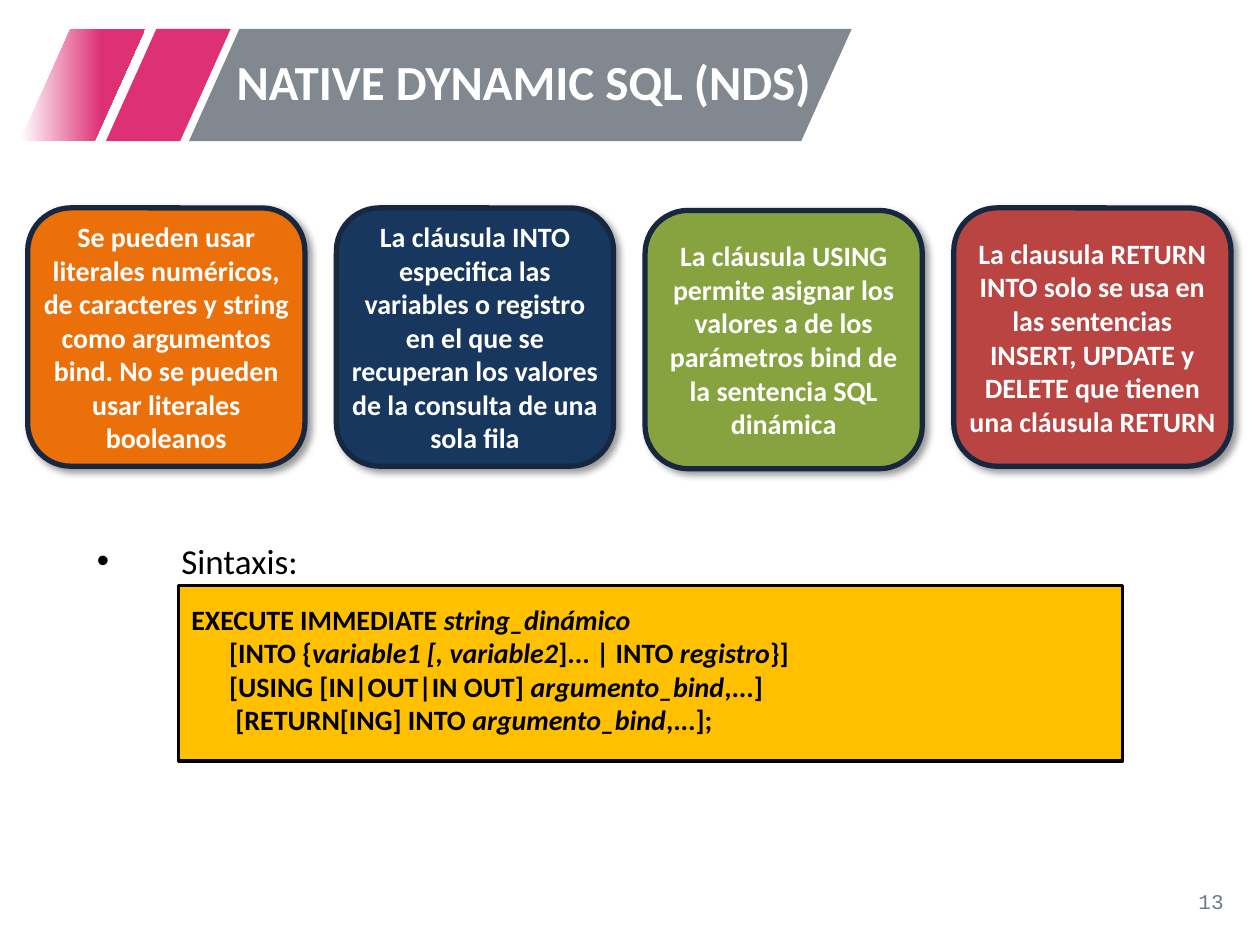
from lxml import etree
from pptx import Presentation
from pptx.dml.color import RGBColor
from pptx.enum.shapes import MSO_SHAPE
from pptx.enum.text import MSO_ANCHOR, PP_ALIGN
from pptx.oxml.ns import qn
from pptx.util import Inches, Pt

PARALLELOGRAM = MSO_SHAPE.PARALLELOGRAM
RECTANGLE = MSO_SHAPE.RECTANGLE
ROUNDED = MSO_SHAPE.ROUNDED_RECTANGLE
MIDDLE, TOP = MSO_ANCHOR.MIDDLE, MSO_ANCHOR.TOP
LEFT, CENTER, RIGHT, JUSTIFY = PP_ALIGN.LEFT, PP_ALIGN.CENTER, PP_ALIGN.RIGHT, PP_ALIGN.JUSTIFY
WHITE, BLACK, PINK = "FFFFFF", "000000", "DE3075"
color = RGBColor.from_string

presentation = Presentation()
presentation.slide_width = Inches(10)
presentation.slide_height = Inches(7.5)
slide = presentation.slides.add_slide(presentation.slide_layouts[6])
COLUMN = presentation.slide_width / 100
ROW = presentation.slide_height / 75


def add_box(left, top, width, height, preset=None, fill=WHITE, anchor=MIDDLE):
    """Add a filled preset shape, or a text box without a preset, placed in grid cells."""
    place = [int(left * COLUMN), int(top * ROW), int(width * COLUMN), int(height * ROW)]
    if preset is None:
        shape = slide.shapes.add_textbox(*place)
    else:
        shape = slide.shapes.add_shape(preset, *place)
        shape.shadow.inherit = False
        shape.fill.solid()
        shape.fill.fore_color.rgb = color(fill)
        shape.line.fill.background()
    shape.text_frame.word_wrap = True
    shape.text_frame.vertical_anchor = anchor
    return shape


def add_run(paragraph, text, size, text_color, bold=False, italic=False, font="Calibri"):
    run = paragraph.add_run()
    run.text = text
    run.font.name = font
    run.font.size = Pt(size)
    run.font.bold = bold
    run.font.italic = italic
    run.font.color.rgb = color(text_color)


# Title banner
banner = []
for left, width, fill in [(8.4, 9.9, PINK), (1.6, 9.9, PINK), (15, 52.6, "81888F")]:
    stripe = add_box(left, 2.3, width, 8.9, PARALLELOGRAM, fill)
    stripe.adjustments[0] = 0.45
    banner.append(stripe)
fade = banner[1].fill
fade.gradient()
fade.gradient_angle = 0
for stop, (position, stop_color) in zip(fade.gradient_stops, [(0, WHITE), (0.65, PINK)]):
    stop.position = position
    stop.color.rgb = color(stop_color)

title = add_box(17.8, 2.3, 51.1, 8.9).text_frame.paragraphs[0]
title.line_spacing = 0.9
add_run(title, "NATIVE DYNAMIC SQL (NDS)", 28, WHITE, bold=True)

# Slide number
number = add_box(75.6, 69.5, 22.5, 4).text_frame.paragraphs[0]
number.alignment = RIGHT
add_run(number, "13", 12, "6C7A8A", font="Courier New")

# Rule cards
cards = [
    ("EC700A", 16.5, "Se pueden usar literales numéricos, de caracteres y string como "
     "argumentos bind. No se pueden usar literales booleanos"),
    ("17375E", 16.5, "La cláusula INTO especifica las variables o registro en el que se "
     "recuperan los valores de la consulta de una sola fila"),
    ("86A33F", 16.7, "La cláusula USING permite asignar los valores a de los parámetros "
     "bind de la sentencia SQL dinámica"),
    ("B94441", 16.5, "La clausula RETURN INTO solo se usa en las sentencias INSERT, "
     "UPDATE y DELETE que tienen una cláusula RETURN"),
]
for index, (fill, top, text) in enumerate(cards):
    card = add_box(2.2 + 24.5 * index, top, 22, 20.5, ROUNDED, fill)
    card.line.color.rgb = color("172740")
    card.line.width = Pt(3)
    effects = card._element.spPr.find(qn("a:effectLst"))
    shadow = etree.SubElement(effects, qn("a:outerShdw"), blurRad=str(Pt(4)),
                              dist=str(Pt(3)), dir=str(45 * 60000), rotWithShape="0")
    shadow_color = etree.SubElement(shadow, qn("a:srgbClr"), val=BLACK)
    etree.SubElement(shadow_color, qn("a:alpha"), val="40000")
    frame = card.text_frame
    frame.margin_left = frame.margin_right = frame.margin_top = frame.margin_bottom = 0
    frame.paragraphs[0].alignment = CENTER
    add_run(frame.paragraphs[0], text, 16, WHITE, bold=True)

# Syntax heading
heading = add_box(6.7, 43, 85.8, 4.5, anchor=TOP).text_frame.paragraphs[0]
heading.alignment = JUSTIFY
heading.line_spacing = 0.8
properties = heading._p.get_or_add_pPr()
properties.set("marL", str(Inches(0.67)))
properties.set("indent", str(-Inches(0.67)))
etree.SubElement(properties, qn("a:buFont"), typeface="Arial")
etree.SubElement(properties, qn("a:buChar"), char="•")
add_run(heading, "Sintaxis:", 20, BLACK)

# Syntax code: runs alternate between keywords and italic names
code_lines = [
    ["EXECUTE IMMEDIATE ", "string_dinámico"],
    ["      [INTO {", "variable1 [, variable2", "]... | INTO ", "registro", "}]"],
    ["      [USING [IN|OUT|IN OUT] ", "argumento_bind", ",...]"],
    ["       [RETURN[ING] INTO ", "argumento_bind", ",...];"],
]
code = add_box(14.2, 46.5, 74.9, 13.9, RECTANGLE, "FFC000", TOP)
code.line.color.rgb = color(BLACK)
code.line.width = Pt(1.75)
frame = code.text_frame
frame.margin_top = Inches(0.13)
frame.margin_bottom = Inches(0.04)
for index, pieces in enumerate(code_lines):
    paragraph = frame.add_paragraph() if index else frame.paragraphs[0]
    paragraph.alignment = LEFT
    for position, piece in enumerate(pieces):
        add_run(paragraph, piece, 16, BLACK, bold=True, italic=position % 2 == 1)

presentation.save("out.pptx")
